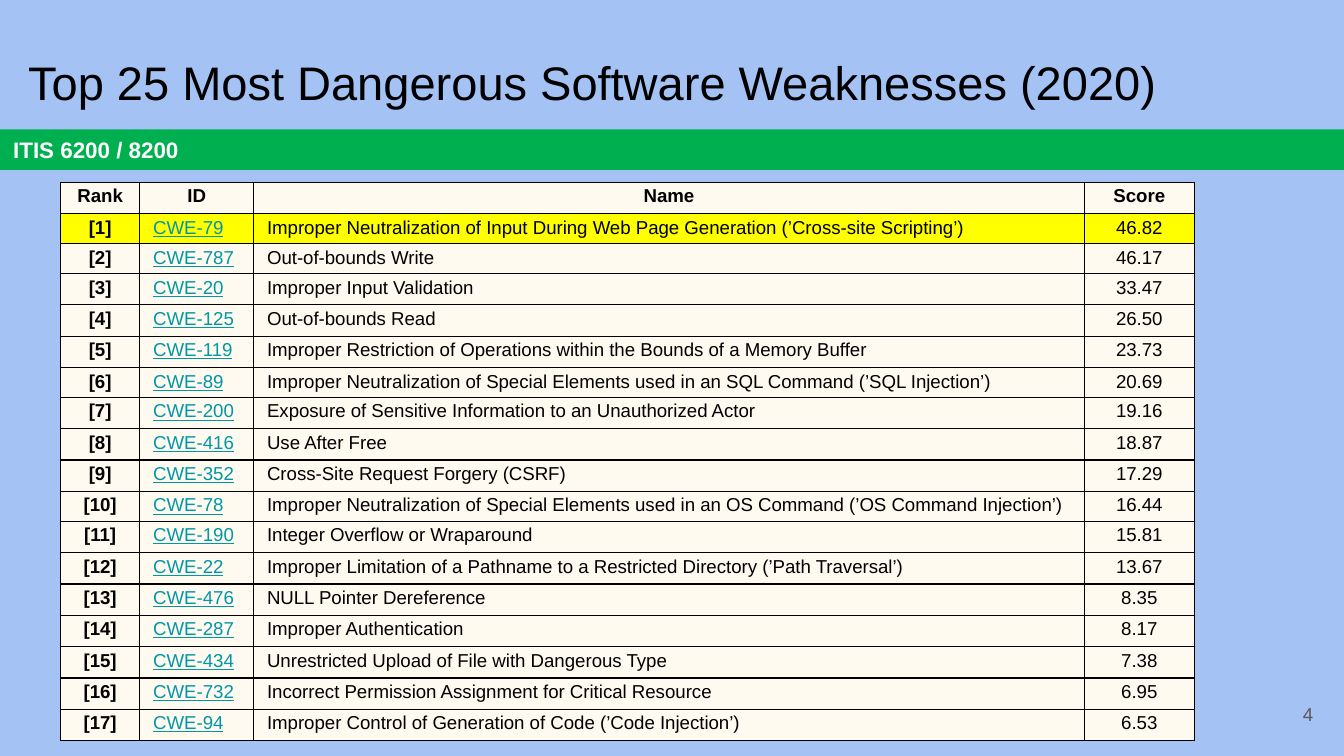
from lxml.etree import SubElement
from pptx import Presentation
from pptx.dml.color import RGBColor
from pptx.enum.shapes import MSO_SHAPE
from pptx.enum.text import MSO_ANCHOR, PP_ALIGN
from pptx.oxml.ns import qn
from pptx.util import Pt

SKY = RGBColor(0xA4, 0xC2, 0xF4)
GREEN = RGBColor(0x00, 0xB0, 0x50)
CREAM = RGBColor(0xFF, 0xFA, 0xF0)
YELLOW = RGBColor(0xFF, 0xFF, 0x00)
TEAL = RGBColor(0x00, 0x97, 0xA7)
GRAY = RGBColor(0x59, 0x59, 0x59)
BLACK = RGBColor(0x00, 0x00, 0x00)
WHITE = RGBColor(0xFF, 0xFF, 0xFF)

# Content
TITLE = "Top 25 Most Dangerous Software Weaknesses (2020)"
COURSE = "ITIS 6200 / 8200"
PAGE = "4"
HEADER = ("Rank", "ID", "Name", "Score")
WEAKNESSES = [
    ("CWE-79", "Improper Neutralization of Input During Web Page Generation (’Cross-site Scripting’)", "46.82"),
    ("CWE-787", "Out-of-bounds Write", "46.17"),
    ("CWE-20", "Improper Input Validation", "33.47"),
    ("CWE-125", "Out-of-bounds Read", "26.50"),
    ("CWE-119", "Improper Restriction of Operations within the Bounds of a Memory Buffer", "23.73"),
    ("CWE-89", "Improper Neutralization of Special Elements used in an SQL Command (’SQL Injection’)", "20.69"),
    ("CWE-200", "Exposure of Sensitive Information to an Unauthorized Actor", "19.16"),
    ("CWE-416", "Use After Free", "18.87"),
    ("CWE-352", "Cross-Site Request Forgery (CSRF)", "17.29"),
    ("CWE-78", "Improper Neutralization of Special Elements used in an OS Command (’OS Command Injection’)", "16.44"),
    ("CWE-190", "Integer Overflow or Wraparound", "15.81"),
    ("CWE-22", "Improper Limitation of a Pathname to a Restricted Directory (’Path Traversal’)", "13.67"),
    ("CWE-476", "NULL Pointer Dereference", "8.35"),
    ("CWE-287", "Improper Authentication", "8.17"),
    ("CWE-434", "Unrestricted Upload of File with Dangerous Type", "7.38"),
    ("CWE-732", "Incorrect Permission Assignment for Critical Resource", "6.95"),
    ("CWE-94", "Improper Control of Generation of Code (’Code Injection’)", "6.53"),
]
COL_WIDTHS = (42.5, 61, 445, 59)
ROW_HEIGHT = 16.8
SHORT_ROWS = {1: 15.6, 2: 15.6, 6: 16, 10: 16}
HIGHLIGHTED_ROW = 1


def write(tf, text, size, color, bold=False, align=PP_ALIGN.LEFT):
    tf.text = text
    p = tf.paragraphs[0]
    p.alignment = align
    font = p.runs[0].font
    font.name, font.size, font.bold = "Arial", Pt(size), bold
    font.color.rgb = color
    return font


def set_margins(item, x, y):
    item.margin_left = item.margin_right = Pt(x)
    item.margin_top = item.margin_bottom = Pt(y)


def add_text(s, box, text, size, color, anchor=MSO_ANCHOR.TOP, align=PP_ALIGN.LEFT):
    tf = s.shapes.add_textbox(*map(Pt, box)).text_frame
    tf.word_wrap = True
    tf.vertical_anchor = anchor
    set_margins(tf, 7.2, 7.2)
    write(tf, text, size, color, align=align)


def add_borders(cell):
    tc_pr = cell._tc.get_or_add_tcPr()
    for side in ("a:lnL", "a:lnR", "a:lnT", "a:lnB"):
        line = SubElement(tc_pr, qn(side), w=str(Pt(0.75)))
        fill = SubElement(line, qn("a:solidFill"))
        SubElement(fill, qn("a:srgbClr"), val=str(BLACK))


def add_ranking(s):
    rows = [HEADER] + [(f"[{n}]", *w) for n, w in enumerate(WEAKNESSES, 1)]
    heights = [SHORT_ROWS.get(i, ROW_HEIGHT) for i in range(len(rows))]
    table = s.shapes.add_table(len(rows), len(HEADER), Pt(32.4), Pt(97.75),
                               Pt(sum(COL_WIDTHS)), Pt(sum(heights))).table
    table.first_row = table.horz_banding = False
    for col, width in zip(table.columns, COL_WIDTHS):
        col.width = Pt(width)
    for i, (values, height) in enumerate(zip(rows, heights)):
        table.rows[i].height = Pt(height)
        for j, value in enumerate(values):
            cell = table.cell(i, j)
            set_margins(cell, 7.2, 2)
            add_borders(cell)
            cell.fill.solid()
            cell.fill.fore_color.rgb = YELLOW if i == HIGHLIGHTED_ROW else CREAM
            is_id = i > 0 and j == 1
            centred = i == 0 or j in (0, 3)
            font = write(cell.text_frame, value, 10, TEAL if is_id else BLACK,
                         bold=i == 0 or j == 0,
                         align=PP_ALIGN.CENTER if centred else PP_ALIGN.LEFT)
            font.underline = is_id


prs = Presentation()
prs.slide_width, prs.slide_height = Pt(720), Pt(405)
s = prs.slides.add_slide(prs.slide_layouts[6])
s.background.fill.solid()
s.background.fill.fore_color.rgb = SKY

# Course band
band = s.shapes.add_shape(MSO_SHAPE.RECTANGLE, 0, Pt(69.25), Pt(720), Pt(21.75))
band.shadow.inherit = False
band.fill.solid()
band.fill.fore_color.rgb = GREEN
band.line.fill.background()
band.text_frame.vertical_anchor = MSO_ANCHOR.MIDDLE
set_margins(band.text_frame, 7.2, 7.2)
write(band.text_frame, COURSE, 12, WHITE, bold=True)

# Title, page number and ranking table
add_text(s, (8, 21.6, 671, 45.4), TITLE, 25.2, BLACK)
add_text(s, (667.5, 367.2, 43, 31), PAGE, 10, GRAY, MSO_ANCHOR.MIDDLE, PP_ALIGN.RIGHT)
add_ranking(s)

prs.save("out.pptx")
